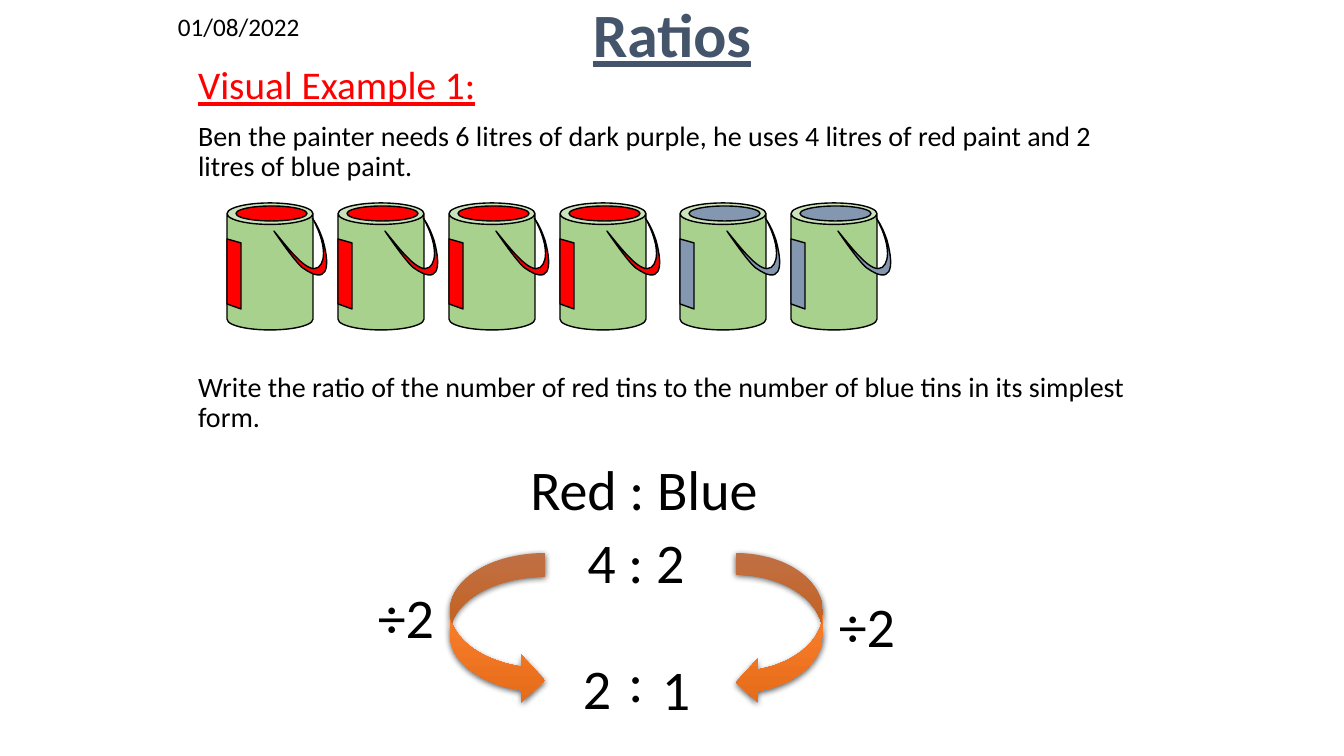
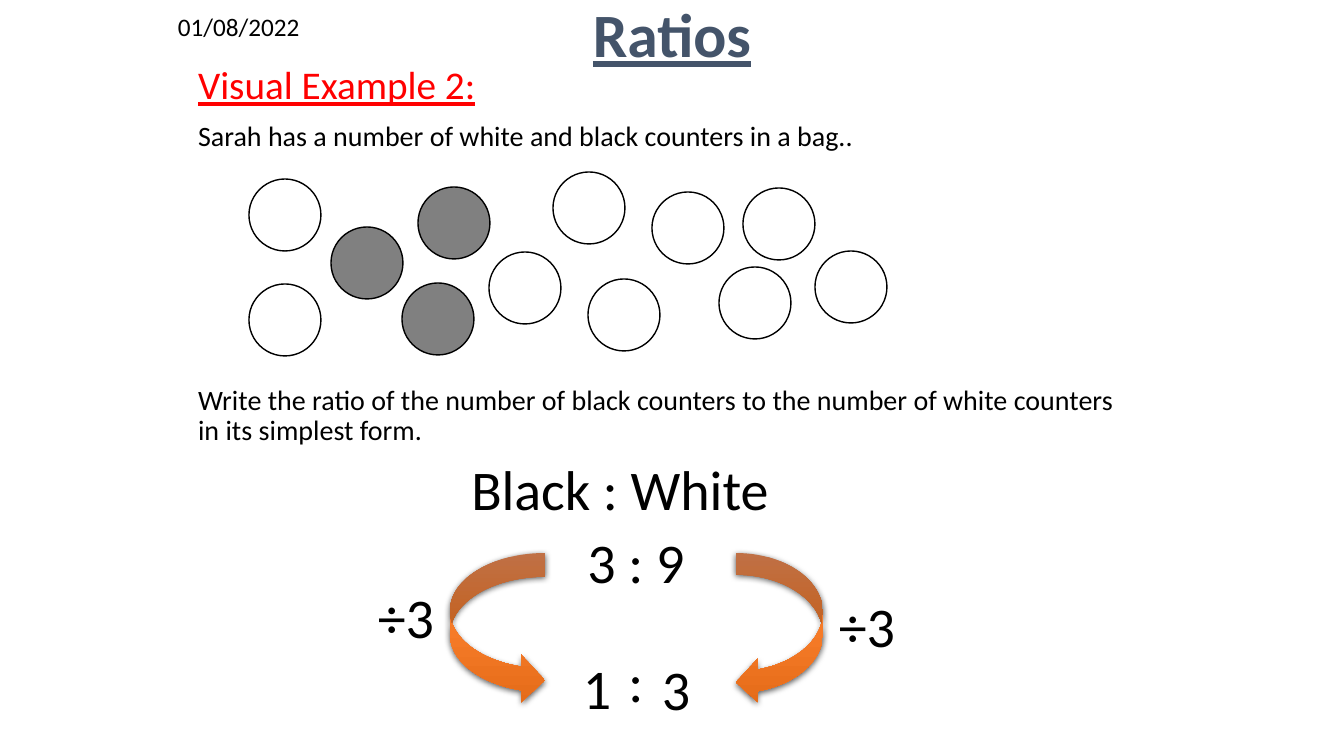
"""Build two worked examples on simplifying ratios."""
from copy import deepcopy

from lxml.etree import SubElement
from pptx import Presentation
from pptx.dml.color import RGBColor
from pptx.enum.shapes import MSO_SHAPE as Preset
from pptx.enum.text import MSO_ANCHOR as Anchor, MSO_AUTO_SIZE as AutoSize, PP_ALIGN as Align
from pptx.oxml.ns import qn
from pptx.util import Emu, Pt

PX = 12192000 / 1344
FONT = "Calibri"
BLACK = RGBColor(0x00, 0x00, 0x00)
WHITE = RGBColor(0xFF, 0xFF, 0xFF)
RED = RGBColor(0xFF, 0x00, 0x00)
BLUE = RGBColor(0x84, 0x97, 0xB0)
GREEN = RGBColor(0xA9, 0xD1, 0x8E)
GREY = RGBColor(0x80, 0x80, 0x80)
SLATE = RGBColor(0x44, 0x54, 0x6A)
ORANGES = [
    (0, RGBColor(0xF1, 0x8C, 0x57)),
    (0.5, RGBColor(0xF6, 0x7B, 0x28)),
    (1, RGBColor(0xE5, 0x6C, 0x19)),
]

TITLE = "Ratios"
DATE = "01/08/2022"
EXAMPLES = [
    {
        "heading": "Visual Example 1:",
        "story": "Ben the painter needs 6 litres of dark purple, he uses 4 litres of red paint and 2 litres of blue paint.",
        "question": "Write the ratio of the number of red tins to the number of blue tins in its simplest form.",
        "question_gap": 136,
        "names": "Red : Blue",
        "names_left": 442,
        "ratio": "4 : 2",
        "divisor": "÷2",
        "simplest": ("2", "1"),
        "tins": [(RED, 227, 4), (BLUE, 680, 2)],
    },
    {
        "heading": "Visual Example 2:",
        "story": "Sarah has a number of white and black counters in a bag..",
        "question": "Write the ratio of the number of black counters to the number of white counters in its simplest form.",
        "question_gap": 167,
        "names": "Black : White",
        "names_left": 418,
        "ratio": "3 : 9",
        "divisor": "÷3",
        "simplest": ("1", "3"),
        "counters": [
            (GREY, [(331, 227), (402, 283), (418, 187)]),
            (WHITE, [(489, 252), (553, 172), (588, 279), (652, 192), (249, 284),
                     (249, 179), (719, 267), (743, 188), (815, 251)]),
        ],
    },
]

TIN_TOP, TIN_STEP = 203, 111
COUNTER_SIZE = 72
TIN_LABEL = [(0, 36), (14, 40), (14, 106), (0, 101)]
HANDLE_TURN = 235.5
HANDLE_CURVES = [
    (63, 39),
    (53, 39), (45, 37), (38, 35),
    (10, 25), (0, 13), (27, 3),
    (35, 0), (66, 0), (74, 0),
    (52, 2), (19, 3), (19, 16),
    (20, 28), (40, 37), (63, 39),
]


def px(*lengths):
    return [Emu(round(length * PX)) for length in lengths]


def write(paragraph, text, size=40, color=BLACK, bold=False, underline=False,
          align=Align.CENTER, before=0, spacing=1.0):
    paragraph.alignment = align
    paragraph.space_before = Pt(before)
    paragraph.line_spacing = spacing
    run = paragraph.add_run()
    run.text = text
    run.font.name = FONT
    run.font.size = Pt(size)
    run.font.color.rgb = color
    run.font.bold = bold
    run.font.underline = underline


def place(holder, box, anchor=Anchor.MIDDLE):
    holder.left, holder.top, holder.width, holder.height = px(*box)
    frame = holder.text_frame
    frame.word_wrap = True
    frame.auto_size = AutoSize.NONE
    frame.vertical_anchor = anchor
    return frame


def add_label(slide, text, box, **style):
    label = slide.shapes.add_textbox(*px(*box))
    write(place(label, box).paragraphs[0], text, **style)


def outline(shape, color):
    shape.shadow.inherit = False
    shape.fill.solid()
    shape.fill.fore_color.rgb = color
    shape.line.color.rgb = BLACK
    shape.line.width = Pt(1)


def add_polygon(shapes, points, left, top, color):
    start, *rest = [px(left + x, top + y) for x, y in points]
    builder = shapes.build_freeform(*start)
    builder.add_line_segments(rest, close=True)
    polygon = builder.convert_to_shape()
    outline(polygon, color)
    return polygon


def bend(polygon):
    segments = polygon.element.findall(".//" + qn("a:lnTo"))
    for curve, *others in zip(segments[::3], segments[1::3], segments[2::3]):
        curve.tag = qn("a:cubicBezTo")
        for segment in others:
            curve.append(segment[0])
            segment.getparent().remove(segment)


def add_tin(slide, left, paint):
    parts = slide.shapes.add_group_shape().shapes
    outline(parts.add_shape(Preset.CAN, *px(left, TIN_TOP, 86, 127)), GREEN)
    add_polygon(parts, TIN_LABEL, left, TIN_TOP, paint)
    outline(parts.add_shape(Preset.OVAL, *px(left + 9, TIN_TOP + 3, 71, 15)), paint)
    handle = add_polygon(parts, HANDLE_CURVES, left + 47, TIN_TOP + 28, paint)
    bend(handle)
    handle.rotation = HANDLE_TURN


def add_division_arrow(slide, left, width, mirrored):
    arrow = slide.shapes.add_shape(Preset.CURVED_RIGHT_ARROW, *px(left, 553, width, 151))
    arrow.line.fill.background()
    arrow.fill.gradient()
    arrow.fill.gradient_angle = 270
    properties = arrow.element.spPr
    stops = properties.find(".//" + qn("a:gsLst"))
    stops.append(deepcopy(stops[-1]))
    for stop, (position, color) in zip(arrow.fill.gradient_stops, ORANGES):
        stop.position = position
        stop.color.rgb = color
    arrow.shadow.inherit = False
    shadow = SubElement(properties.find(qn("a:effectLst")), qn("a:outerShdw"),
                        blurRad=str(Pt(4.5)), dist=str(Pt(1.5)), dir="5400000",
                        algn="ctr", rotWithShape="0")
    tint = SubElement(shadow, qn("a:srgbClr"), val=str(BLACK))
    SubElement(tint, qn("a:alpha"), val="63000")
    if mirrored:
        properties.find(qn("a:xfrm")).set("flipH", "1")


def add_body(slide, example):
    frame = place(slide.placeholders[1], (188, 61, 961, 674), Anchor.TOP)
    lines = [
        (example["heading"], {"size": 28, "color": RED, "underline": True}),
        (example["story"], {"size": 20, "before": 10}),
        (example["question"], {"size": 20, "before": example["question_gap"]}),
    ]
    for index, (text, style) in enumerate(lines):
        paragraph = frame.add_paragraph() if index else frame.paragraphs[0]
        properties = paragraph._p.get_or_add_pPr()
        properties.set("marL", "0")
        properties.set("indent", "0")
        SubElement(properties, qn("a:buNone"))
        write(paragraph, text, align=Align.LEFT, spacing=0.9, **style)


def add_working(slide, example):
    before, after = example["simplest"]
    add_division_arrow(slide, 450, 95, mirrored=False)
    add_division_arrow(slide, 736, 87, mirrored=True)
    for text, left, top in [
        (example["ratio"], 505, 522),
        (":", 505, 641),
        (example["divisor"], 275, 577),
        (example["divisor"], 736, 586),
        (after, 545, 649),
        (before, 466, 648),
    ]:
        add_label(slide, text, (left, top, 262, 78))
    add_label(slide, example["names"], (example["names_left"], 449, 404, 78))


def add_example(deck, example):
    slide = deck.slides.add_slide(deck.slide_layouts[1])
    title = place(slide.shapes.title, (168, -3, 1008, 72))
    write(title.paragraphs[0], TITLE, size=44, color=SLATE, bold=True, underline=True)
    add_body(slide, example)
    for paint, left, count in example.get("tins", []):
        for index in range(count):
            add_tin(slide, left + index * TIN_STEP, paint)
    add_working(slide, example)
    for color, spots in example.get("counters", []):
        for left, top in spots:
            counter = slide.shapes.add_shape(Preset.OVAL, *px(left, top, COUNTER_SIZE, COUNTER_SIZE))
            outline(counter, color)
    add_label(slide, DATE, (168, 0, 234, 52), size=18, align=Align.LEFT)


def main():
    deck = Presentation()
    deck.slide_width, deck.slide_height = px(1344, 756)
    for example in EXAMPLES:
        add_example(deck, example)
    deck.save("out.pptx")


if __name__ == "__main__":
    main()
